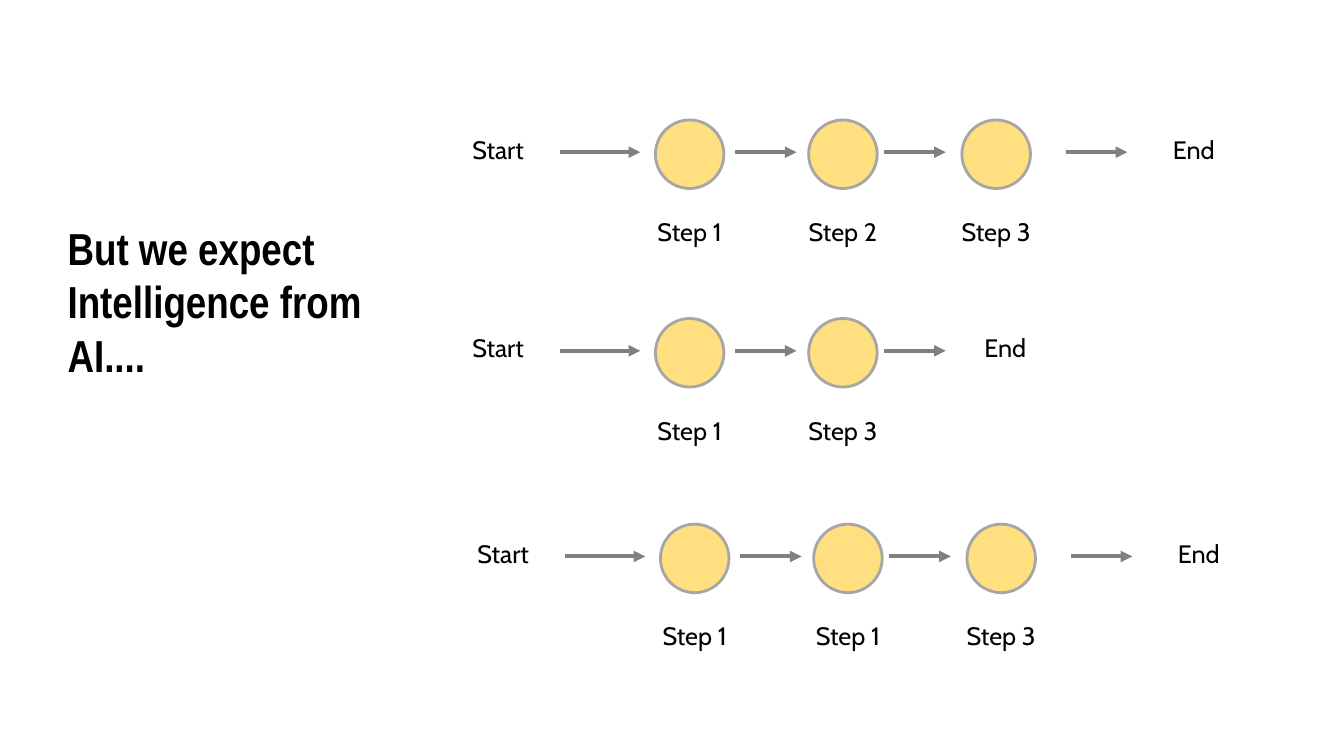
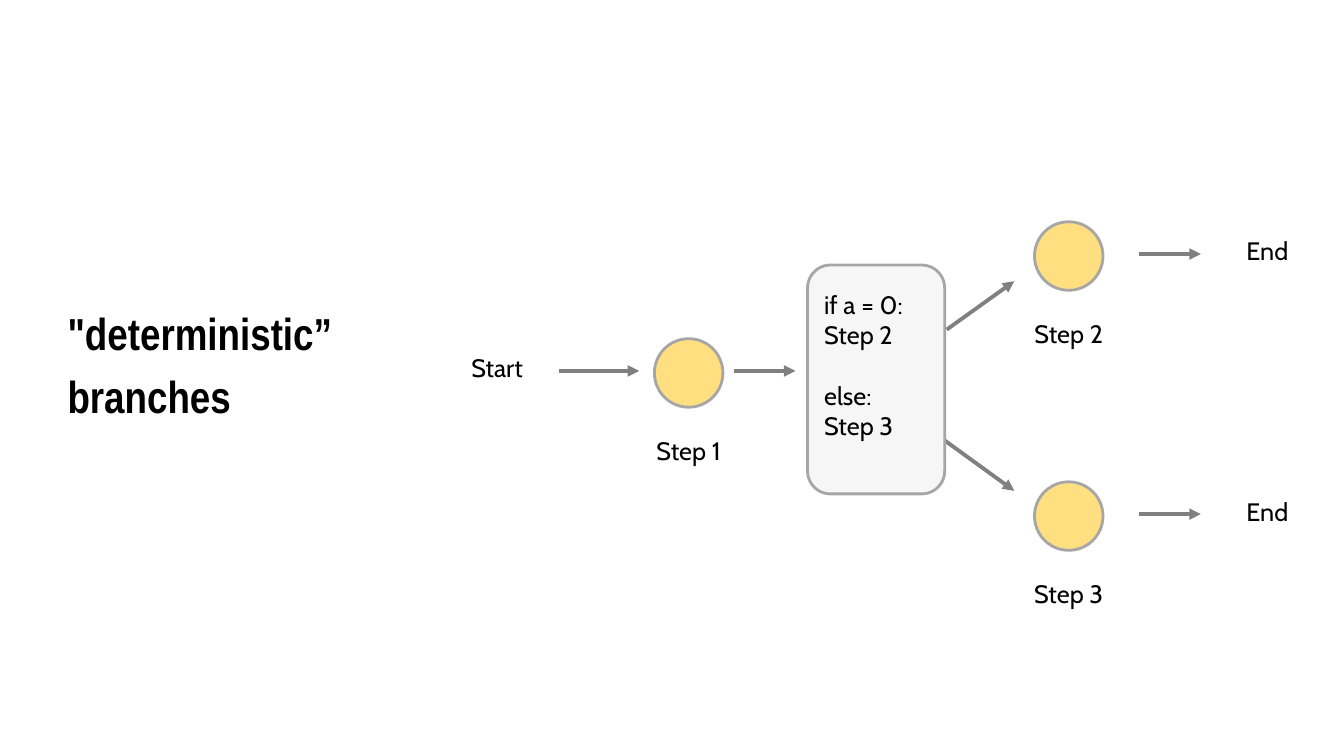
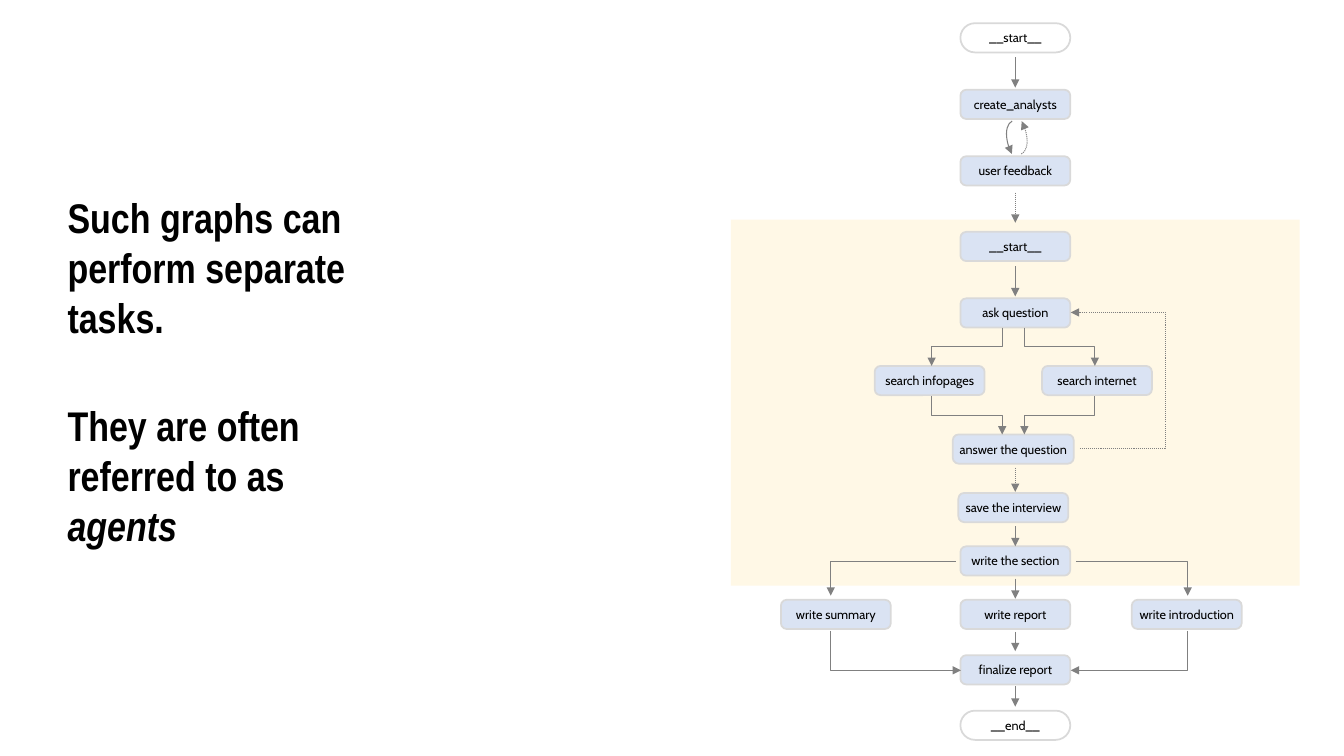
from dataclasses import dataclass

from lxml.etree import SubElement
from pptx import Presentation
from pptx.dml.color import RGBColor
from pptx.enum.dml import MSO_LINE
from pptx.enum.shapes import MSO_CONNECTOR, MSO_SHAPE
from pptx.enum.text import MSO_ANCHOR, MSO_AUTO_SIZE, PP_ALIGN
from pptx.oxml.ns import qn
from pptx.util import Inches, Pt


@dataclass(frozen=True)
class Theme:
    text: str = "000000"
    arrow: str = "808080"
    outline: str = "A6A6A6"
    step: str = "FFC000"
    choice: str = "D9D9D9"
    node: str = "DAE3F3"
    node_outline: str = "D9D9D9"
    panel: str = "FFF2CC"
    title_font: str = "Arial Narrow"
    body_font: str = "Cabin"
    title_size: float = 32
    long_title_size: float = 29.6
    label_size: float = 18
    node_size: float = 9
    thick: float = 2.75
    thin: float = 0.75


@dataclass(frozen=True)
class Box:
    left: float
    top: float
    width: float = 0
    height: float = 0

    def inner(self, left, top, width=0, height=0):
        return Box(self.left + left, self.top + top, width, height)

    def place(self):
        return [Inches(v) for v in (self.left, self.top, self.width, self.height)]


THEME = Theme()
LABEL_WIDTH, LABEL_HEIGHT = 1.04, 0.4
CIRCLE = 0.68
STEP_LEFT, STEP_PITCH = 2.08, 1.52
STEP_ARROWS = (2.87, 4.35, 6.15)
STEP_ARROW_LENGTH = 0.61
NODE_WIDTH, NODE_HEIGHT = 1.09, 0.29
MIDDLE = 2.82


def add_span(para, text, size, font=THEME.body_font, bold=False, italic=False):
    span = para.add_run()
    span.text = text
    span.font.name = font
    span.font.size = Pt(size)
    span.font.bold = bold
    span.font.italic = italic
    span.font.color.rgb = RGBColor.from_string(THEME.text)


def add_title(page, box, paras, size=THEME.title_size, gap=6.4):
    title = page.shapes.title
    title.left, title.top, title.width, title.height = box.place()
    frame = title.text_frame
    frame.word_wrap = True
    frame.auto_size = MSO_AUTO_SIZE.NONE
    frame.vertical_anchor = MSO_ANCHOR.MIDDLE
    for index, spans in enumerate(paras):
        para = frame.add_paragraph() if index else frame.paragraphs[0]
        para.alignment = PP_ALIGN.LEFT
        para.space_before = Pt(gap if index else 0)
        for text, italic in spans:
            add_span(para, text, size, THEME.title_font, True, italic)


def add_label(page, box, text):
    label = page.shapes.add_textbox(*box.place())
    label.text_frame.word_wrap = True
    para = label.text_frame.paragraphs[0]
    para.alignment = PP_ALIGN.CENTER
    add_span(para, text, THEME.label_size)


def add_figure(page, preset, box, fill=None, opacity=100, outline=None, weight=2):
    figure = page.shapes.add_shape(preset, *box.place())
    figure.shadow.inherit = False
    if fill:
        figure.fill.solid()
        figure.fill.fore_color.rgb = RGBColor.from_string(fill)
        if opacity < 100:
            color = figure.fill._xPr.find(qn("a:solidFill"))[0]
            SubElement(color, qn("a:alpha")).set("val", str(opacity * 1000))
    else:
        figure.fill.background()
    if outline:
        figure.line.color.rgb = RGBColor.from_string(outline)
        figure.line.width = Pt(weight)
    else:
        figure.line.fill.background()
    return figure


def style_arrow(shape, weight, dotted=False):
    shape.line.color.rgb = RGBColor.from_string(THEME.arrow)
    shape.line.width = Pt(weight)
    if dotted:
        shape.line.dash_style = MSO_LINE.ROUND_DOT
    SubElement(shape.line._get_or_add_ln(), qn("a:tailEnd")).set("type", "triangle")


def add_link(page, kind, ends, weight, dotted=False):
    link = page.shapes.add_connector(kind, *[Inches(v) for v in ends])
    style_arrow(link, weight, dotted)
    SubElement(link._element.spPr, qn("a:effectLst"))
    return link


def add_arrow(page, box, start, end, weight=THEME.thick, dotted=False):
    first, last = box.inner(*start), box.inner(*end)
    ends = (first.left, first.top, last.left, last.top)
    add_link(page, MSO_CONNECTOR.STRAIGHT, ends, weight, dotted)


def add_side_elbow(page, box, start, end, bend, dotted=False):
    first, last = box.inner(*start), box.inner(*end)
    ends = (first.left, first.top, last.left, last.top)
    link = add_link(page, MSO_CONNECTOR.ELBOW, ends, THEME.thin, dotted)
    values = link._element.spPr.find(qn("a:prstGeom")).get_or_add_avLst()
    guide = SubElement(values, qn("a:gd"))
    guide.set("name", "adj1")
    guide.set("fmla", f"val {round(bend * 100000)}")


def add_down_elbow(page, box, start, end):
    first, last = box.inner(*start), box.inner(*end)
    center_x = (first.left + last.left) / 2
    center_y = (first.top + last.top) / 2
    half_drop = (last.top - first.top) / 2
    half_shift = abs(last.left - first.left) / 2
    rightward = last.left > first.left
    side = -half_drop if rightward else half_drop
    ends = (center_x - side, center_y - half_shift, center_x + side, center_y + half_shift)
    link = add_link(page, MSO_CONNECTOR.ELBOW, ends, THEME.thin)
    turn = 270 if rightward else 90
    link._element.spPr.find(qn("a:xfrm")).set("rot", str(turn * 60000))


def add_arc(page, box, flip, dotted=False):
    arc = add_figure(page, MSO_SHAPE.ARC, box)
    arc.rotation = 333.1
    arc._element.spPr.find(qn("a:xfrm")).set(flip, "1")
    style_arrow(arc, THEME.thin, dotted)


def add_step(page, box, text):
    circle = box.inner(0, -0.09, CIRCLE, CIRCLE)
    add_figure(page, MSO_SHAPE.OVAL, circle, THEME.step, 50, THEME.outline)
    add_label(page, box.inner(-0.18, 0.82, LABEL_WIDTH, LABEL_HEIGHT), text)


def add_flow(page, box, steps, end_left=None):
    add_label(page, box.inner(0, 0, LABEL_WIDTH, LABEL_HEIGHT), "Start")
    add_arrow(page, box, (1.13, 0.23), (1.93, 0.23))
    for index, (text, left) in enumerate(zip(steps, STEP_ARROWS)):
        add_step(page, box.inner(STEP_LEFT + index * STEP_PITCH, 0), text)
        add_arrow(page, box, (left, 0.23), (left + STEP_ARROW_LENGTH, 0.23))
    if end_left:
        add_label(page, box.inner(end_left, 0, LABEL_WIDTH, LABEL_HEIGHT), "End")


def add_outcome(page, box, text):
    add_step(page, box, text)
    add_arrow(page, box, (1.04, 0.23), (1.04 + STEP_ARROW_LENGTH, 0.23))
    add_label(page, box.inner(1.79, 0, LABEL_WIDTH, LABEL_HEIGHT), "End")


def add_choice(page, box):
    choice = add_figure(page, MSO_SHAPE.ROUNDED_RECTANGLE, box,
                        THEME.choice, 21, THEME.outline)
    frame = choice.text_frame
    frame.word_wrap = True
    frame.vertical_anchor = MSO_ANCHOR.TOP
    frame.margin_top = Inches(0.17)
    lines = (("if a = 0: Step 2", 0), ("else:", 22), ("Step 3", 0))
    for index, (text, gap) in enumerate(lines):
        para = frame.add_paragraph() if index else frame.paragraphs[0]
        para.alignment = PP_ALIGN.LEFT
        para.space_before = Pt(gap)
        add_span(para, text, THEME.label_size)


def add_node(page, box, text, center, top, width=NODE_WIDTH, terminal=False):
    node = add_figure(page, MSO_SHAPE.ROUNDED_RECTANGLE,
                      box.inner(center - width / 2, top, width, NODE_HEIGHT),
                      None if terminal else THEME.node,
                      outline=THEME.node_outline, weight=1.25)
    node.adjustments[0] = 0.5 if terminal else 0.2
    frame = node.text_frame
    frame.word_wrap = False
    frame.margin_left = frame.margin_right = 0
    frame.margin_top = frame.margin_bottom = 0
    frame.vertical_anchor = MSO_ANCHOR.MIDDLE
    para = frame.paragraphs[0]
    para.alignment = PP_ALIGN.CENTER
    add_span(para, text, THEME.node_size)


def add_agent_graph(page, box):
    panel = box.inner(0, 2.18, box.width, 3.63)
    add_figure(page, MSO_SHAPE.RECTANGLE, panel, THEME.panel, 48)

    nodes = (
        ("create_analysts", MIDDLE, 0.89), ("user feedback", MIDDLE, 1.55),
        ("__start__", MIDDLE, 2.3), ("ask question", MIDDLE, 2.96),
        ("search infopages", 1.97, 3.63), ("search internet", 3.63, 3.63),
        ("answer the question", 2.8, 4.31, 1.2), ("save the interview", 2.8, 4.89),
        ("write the section", MIDDLE, 5.42), ("write summary", 1.04, 5.95),
        ("write report", MIDDLE, 5.95), ("write introduction", 4.52, 5.95),
        ("finalize report", MIDDLE, 6.5),
    )
    for node in nodes:
        add_node(page, box, *node)
    for text, top in (("__start__", 0.23), ("__end__", 7.05)):
        add_node(page, box, text, MIDDLE, top, terminal=True)

    drops = (
        (0.57, 0.87, False), (1.91, 2.21, True), (2.64, 2.94, False),
        (4.64, 4.88, True), (5.22, 5.42, False), (5.74, 5.94, False),
        (6.27, 6.46, False), (6.81, 7.01, False),
    )
    for top, bottom, dotted in drops:
        add_arrow(page, box, (MIDDLE, top), (MIDDLE, bottom), THEME.thin, dotted)
    add_arc(page, box.inner(2.77, 1.17, 0.3, 0.58), "flipH")
    add_arc(page, box.inner(2.6, 0.98, 0.3, 0.58), "flipV", True)

    for inner, outer in ((2.69, 1.99), (2.91, 3.61)):
        add_down_elbow(page, box, (inner, 3.25), (outer, 3.63))
        add_down_elbow(page, box, (outer, 3.93), (inner, 4.31))
    add_side_elbow(page, box, (3.46, 4.45), (3.37, 3.1), -9.4, True)
    for section, writer, final in ((2.23, 0.99, 2.28), (3.42, 4.53, 3.37)):
        add_side_elbow(page, box, (section, 5.57), (writer, 5.91), 1)
        add_side_elbow(page, box, (writer, 6.26), (final, 6.65), 0)


def build_expectation(page):
    add_title(page, Box(0.57, 2.1, 3.5, 1.77),
              [[("But we expect Intelligence from AI....", False)]])
    add_flow(page, Box(4.42, 1.28), ("Step 1", "Step 2", "Step 3"), 6.9)
    add_flow(page, Box(4.42, 3.25), ("Step 1", "Step 3"), 5.03)
    add_flow(page, Box(4.47, 5.29), ("Step 1", "Step 1", "Step 3"), 6.9)


def build_branches(page):
    add_title(page, Box(0.57, 2.1, 3.84, 3.03),
              [[('"deterministic”', False)], [("branches", False)]])
    add_flow(page, Box(4.41, 3.45), ("Step 1",))
    choice = Box(8.01, 2.63, 1.36, 2.27)
    add_arrow(page, choice, (1.38, 0.64), (2.05, 0.16))
    add_arrow(page, choice, (1.36, 1.74), (2.05, 2.24))
    add_choice(page, choice)
    add_outcome(page, Box(10.26, 2.29), "Step 2")
    add_outcome(page, Box(10.26, 4.87), "Step 3")


def build_agents(page):
    paras = [
        [("Such graphs can perform separate tasks.", False)],
        [("They are often referred to as ", False), ("agents", True)],
    ]
    add_title(page, Box(0.57, 2.1, 3.3, 3.16), paras, THEME.long_title_size, 42)
    add_agent_graph(page, Box(7.25, 0, 5.64, 7.5))


def main():
    deck = Presentation()
    deck.slide_width, deck.slide_height = Inches(13.33), Inches(7.5)
    for build in (build_expectation, build_branches, build_agents):
        build(deck.slides.add_slide(deck.slide_layouts[5]))
    deck.save("out.pptx")


if __name__ == "__main__":
    main()
